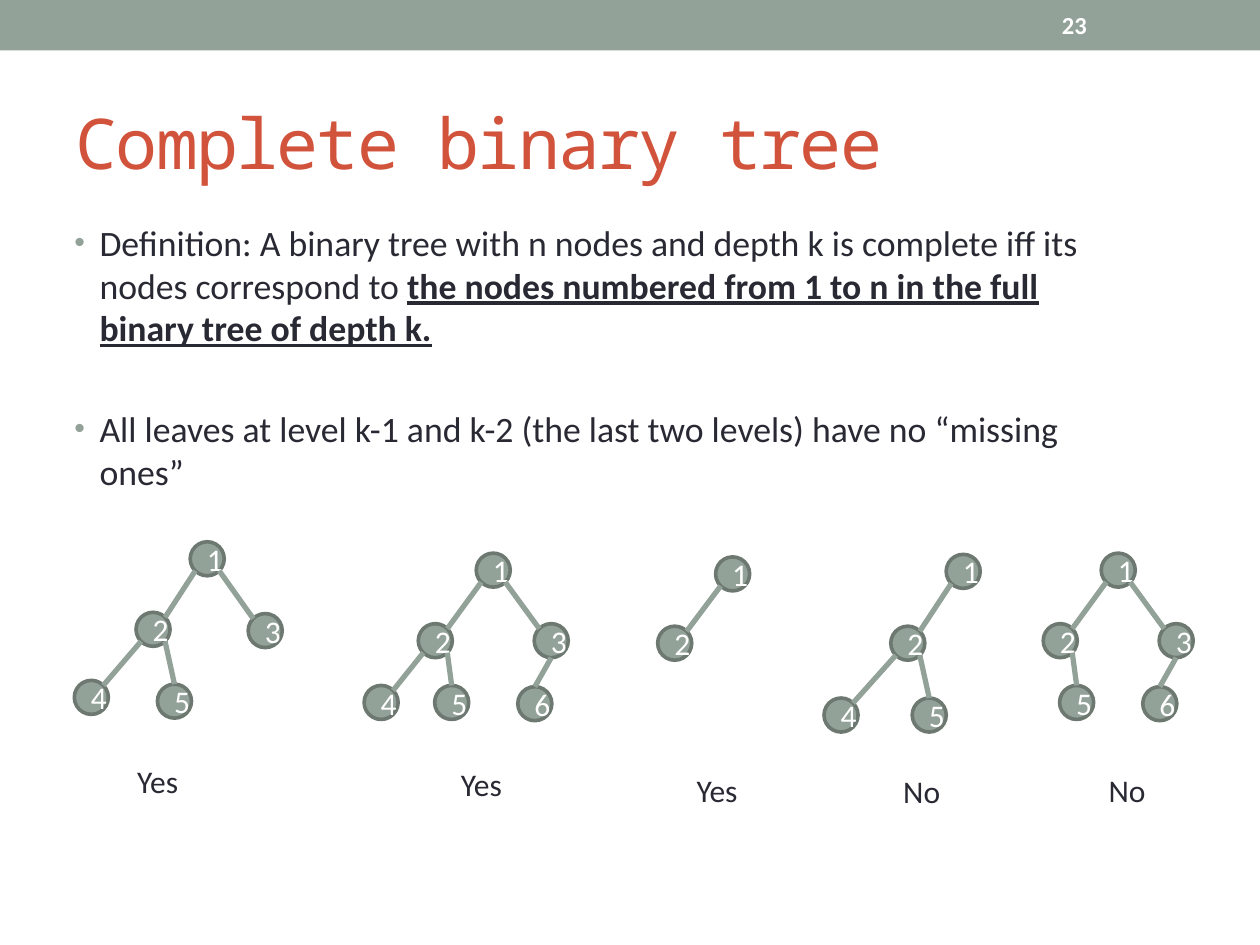
from lxml import etree
from pptx import Presentation
from pptx import util as u
from pptx.dml.color import RGBColor
from pptx.enum import shapes, text
from pptx.oxml import ns

COLORS = {"sage": "93A299", "rim": "6D7871", "red": "D2533C",
          "ink": "292934", "white": "FFFFFF"}
FONTS = {
    "title": {"name": "Noto Sans Mono", "size": u.Pt(40), "bold": False},
    "body": {"name": "Calibri", "size": u.Pt(20.4)},
    "strong": {"name": "Calibri", "size": u.Pt(20.4), "bold": True, "underline": True},
    "page": {"name": "Calibri", "size": u.Pt(14), "bold": True},
    "label": {"name": "Calibri", "size": u.Pt(18)},
}


def write(para, words, kind, color):
    run = para.add_run()
    run.text = words
    for key, val in FONTS[kind].items():
        setattr(run.font, key, val)
    run.font.color.rgb = RGBColor.from_string(COLORS[color])
    return run


def draw(form, left, top, width, height, rim=None):
    shape = slide.shapes.add_shape(form, *map(u.Inches, (left, top, width, height)))
    shape.shadow.inherit = False
    shape.fill.solid()
    shape.fill.fore_color.rgb = RGBColor.from_string(COLORS["sage"])
    if rim:
        shape.line.color.rgb = RGBColor.from_string(COLORS[rim])
        shape.line.width = u.Pt(2.08)
    else:
        shape.line.fill.background()
    return shape


prs = Presentation()
prs.slide_width, prs.slide_height = u.Inches(10), u.Inches(7.5)
slide = prs.slides.add_slide(prs.slide_layouts[1])
draw(shapes.MSO_SHAPE.RECTANGLE, 0, 0, 10, 0.4)

title, body = slide.placeholders
page = slide.shapes.add_textbox(0, 0, 0, 0)
frames = [(title, (0.5, 0.58, 9, 1.08), text.MSO_ANCHOR.MIDDLE),
          (body, (0.49, 1.7, 8.58, 1.73), text.MSO_ANCHOR.TOP),
          (page, (8.33, 0.02, 1.17, 0.36), text.MSO_ANCHOR.MIDDLE)]
for box, spot, anchor in frames:
    box.left, box.top, box.width, box.height = map(u.Inches, spot)
    frame = box.text_frame
    form = {"word_wrap": True, "auto_size": text.MSO_AUTO_SIZE.NONE,
            "vertical_anchor": anchor}
    for key, val in form.items():
        setattr(frame, key, val)

head = title.text_frame.paragraphs[0]
head.alignment = text.PP_ALIGN.LEFT
run = write(head, "Complete binary tree", "title", "red")
run.font._element.set("spc", "-100")
write(page.text_frame.paragraphs[0], "23", "page", "white")

points = [
    (0, [("Definition: A binary tree with n nodes and depth k is complete iff its "
          "nodes correspond to ", "body"),
         ("the nodes numbered from 1 to n in the full binary tree of depth k.", "strong")]),
    (33, [("All leaves at level k-1 and k-2 (the last two levels) have no "
           "“missing ones”", "body")]),
]
for row, (gap, runs) in enumerate(points):
    para = body.text_frame.paragraphs[0] if row == 0 else body.text_frame.add_paragraph()
    para.space_before = u.Pt(gap)
    props = para._p.get_or_add_pPr()
    props.set("marL", str(u.Inches(0.2)))
    props.set("indent", str(u.Inches(-0.2)))
    tint = etree.SubElement(props, ns.qn("a:buClr"))
    etree.SubElement(tint, ns.qn("a:srgbClr"), val=COLORS["sage"])
    etree.SubElement(props, ns.qn("a:buSzPct"), val="85000")
    etree.SubElement(props, ns.qn("a:buFont"), typeface="Arial")
    etree.SubElement(props, ns.qn("a:buChar"), char="•")
    for words, kind in runs:
        write(para, words, kind, "ink")

SIZE, LOW, MID, HIGH = 0.27, 0.04, 0.135, 0.23
EDGES = {
    2: (1, (LOW, HIGH), (HIGH, LOW)),
    3: (1, (HIGH, HIGH), (LOW, LOW)),
    4: (2, (LOW, HIGH), (HIGH, LOW)),
    5: (2, (HIGH, HIGH), (MID, 0)),
    6: (3, (MID, SIZE), (MID, 0)),
}
trees = [
    ("Yes", (0.99, 6, 0.56), {1: (1.51, 4.3), 2: (1.08, 4.86), 3: (1.97, 4.87),
                              4: (0.59, 5.4), 5: (1.25, 5.43)}),
    ("Yes", (3.56, 6.02, 0.56), {1: (3.78, 4.39), 2: (3.32, 4.95), 3: (4.24, 4.95),
                                 4: (2.89, 5.44), 5: (3.45, 5.44), 6: (4.11, 5.45)}),
    ("Yes", (5.43, 6.07, 0.56), {1: (5.68, 4.42), 2: (5.22, 4.97)}),
    ("No", (7.07, 6.08, 0.51), {1: (7.51, 4.4), 2: (7.07, 4.97),
                                4: (6.54, 5.54), 5: (7.24, 5.54)}),
    ("No", (8.7, 6.07, 0.51), {1: (8.74, 4.39), 2: (8.28, 4.95), 3: (9.2, 4.95),
                               5: (8.41, 5.44), 6: (9.07, 5.45)}),
]
for verdict, (left, top, width), nodes in trees:
    for num, (x, y) in nodes.items():
        node = draw(shapes.MSO_SHAPE.OVAL, x, y, SIZE, SIZE, "rim")
        node.text_frame.vertical_anchor = text.MSO_ANCHOR.MIDDLE
        para = node.text_frame.paragraphs[0]
        para.alignment = text.PP_ALIGN.CENTER
        write(para, str(num), "label", "white")
    for num in nodes:
        if num not in EDGES:
            continue
        root, start, end = EDGES[num]
        ends = [nodes[root][0] + start[0], nodes[root][1] + start[1],
                nodes[num][0] + end[0], nodes[num][1] + end[1]]
        edge = slide.shapes.add_connector(shapes.MSO_CONNECTOR.STRAIGHT,
                                          *map(u.Inches, ends))
        edge.line.color.rgb = RGBColor.from_string(COLORS["sage"])
        edge.line.width = u.Pt(3)
        etree.SubElement(edge._element.spPr, ns.qn("a:effectLst"))
    label = slide.shapes.add_textbox(*map(u.Inches, (left, top, width, 0.4)))
    label.text_frame.word_wrap = False
    label.text_frame.auto_size = text.MSO_AUTO_SIZE.SHAPE_TO_FIT_TEXT
    write(label.text_frame.paragraphs[0], verdict, "label", "ink")

prs.save("out.pptx")
